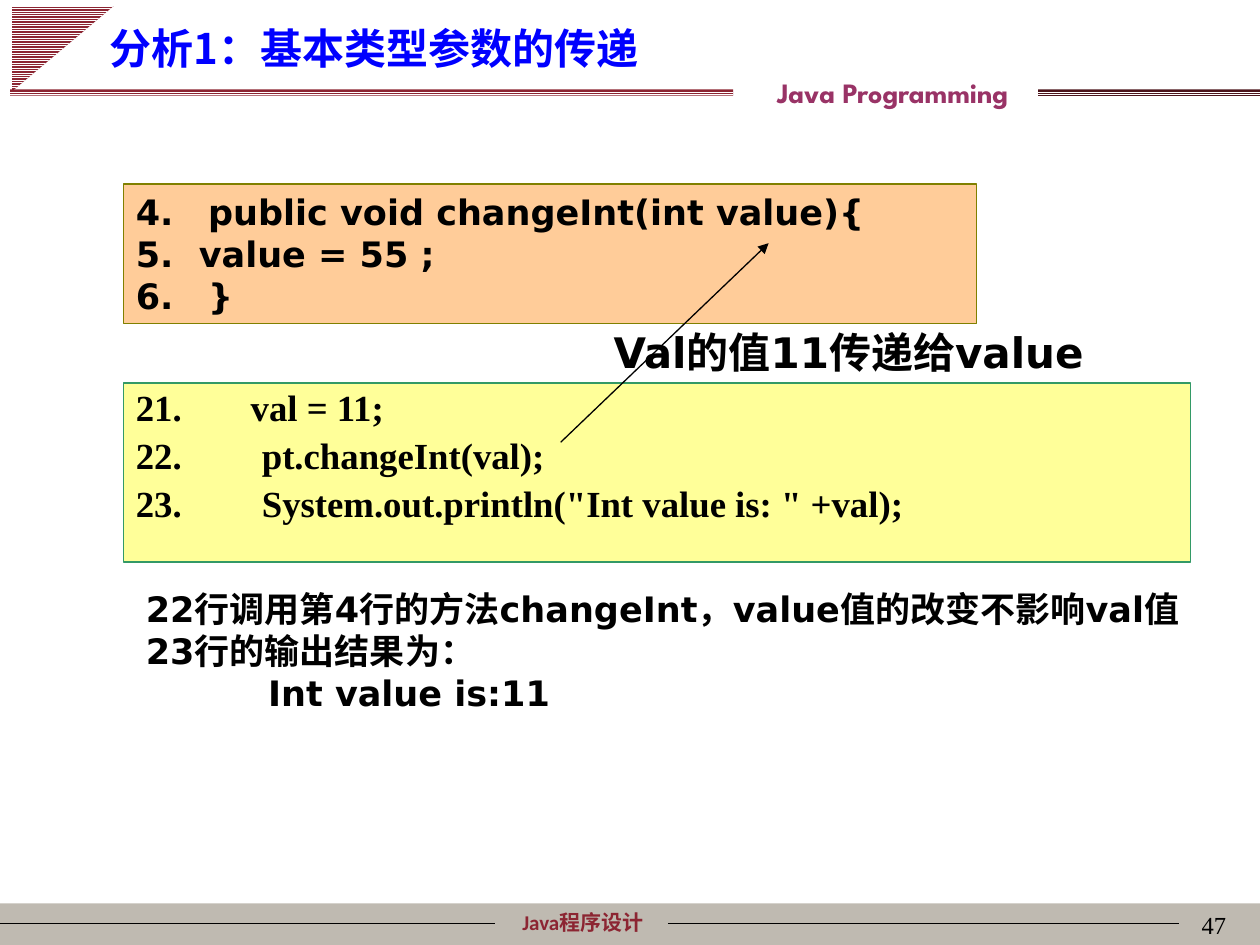
from dataclasses import dataclass, field
from typing import Any

from lxml import etree
from pptx import Presentation
from pptx import util as u
from pptx.dml import color
from pptx.enum import dml, shapes, text
from pptx.oxml import ns

CJK_FONT = "Noto Sans CJK SC"
SANS = "DejaVu Sans"
SERIF = "Times New Roman"
Box = tuple[float, float, float, float]


@dataclass
class Style:
    size: float
    font: str
    color: str = "000000"
    bold: bool = True
    align: Any = text.PP_ALIGN.LEFT
    anchor: Any = text.MSO_ANCHOR.TOP
    wrap: bool = True
    paragraph: dict[str, Any] = field(default_factory=dict)
    space_before: float = 0
    hanging: float = 0
    start: int = 0


@dataclass
class TextBlock:
    box: Box
    lines: list[str]
    style: Style
    fill: str = ""
    line: str = ""


@dataclass
class Stripe:
    preset: Any
    box: Box
    color: str
    rotation: float = 0


@dataclass
class Line:
    begin: tuple[float, float]
    end: tuple[float, float]
    arrow: bool = False


CENTER = text.PP_ALIGN.CENTER
MIDDLE = text.MSO_ANCHOR.MIDDLE
RECTANGLE = shapes.MSO_SHAPE.RECTANGLE

FOOTER_BAND: Box = (0, 7.17, 10, 0.33)
STRIPES = [
    Stripe(shapes.MSO_SHAPE.RIGHT_TRIANGLE, (0.16, -0.02, 0.68, 0.81), "8C2532", 90),
    Stripe(RECTANGLE, (8.24, 0.71, 1.76, 0.06), "4C141B"),
    Stripe(RECTANGLE, (0.08, 0.71, 5.74, 0.05), "8C2532"),
]
FOOTER_LINES = [Line((0, 7.33), (3.93, 7.33)), Line((5.3, 7.33), (9.36, 7.33))]
VALUE_ARROW = Line((4.45, 3.51), (6.1, 1.93), arrow=True)

TITLE = TextBlock(
    (0.77, 0.13, 8.5, 0.5),
    ["分析1：基本类型参数的传递"],
    Style(24, CJK_FONT, "0000FF", anchor=text.MSO_ANCHOR.BOTTOM),
)
MASTER_TEXTS = [
    TextBlock((3.62, 7.17, 2.01, 0.3), ["Java程序设计"],
              Style(12, "Calibri", "8C2532", align=CENTER)),
    TextBlock((5.08, 0.55, 4.01, 0.37), ["Java Programming"],
              Style(16, "League Spartan", "993366", align=CENTER)),
    TextBlock((7.75, 7.17, 2.08, 0.33), ["47"],
              Style(14, SERIF, bold=False, align=text.PP_ALIGN.RIGHT)),
]
CODE_BLOCKS = [
    TextBlock(
        (0.98, 3.04, 8.47, 1.42),
        ["    val = 11;", "\tpt.changeInt(val);",
         '\tSystem.out.println("Int value is: " +val);'],
        Style(21, SERIF, paragraph={"line_spacing": 0.9}, space_before=5,
              hanging=0.62, start=21),
        "FFFF99", "339966",
    ),
    TextBlock(
        (0.98, 1.46, 6.77, 1.11),
        ["  public void changeInt(int value){", "\tvalue = 55 ;", "  }"],
        Style(20, SANS, hanging=0.38, start=4),
        "FFCC99", "808000",
    ),
]
NOTES = [
    TextBlock((5.24, 2.56, 2.99, 0.47), ["Val的值11传递给value"],
              Style(24, SANS, align=CENTER, anchor=MIDDLE, wrap=False)),
    TextBlock((1.06, 4.61, 8.03, 1.1),
              ["22行调用第4行的方法changeInt，value值的改变不影响val值",
               "23行的输出结果为：", "Int value is:11"],
              Style(20, SANS, anchor=MIDDLE, wrap=False)),
]
RESULT_INDENT = 0.97


def rgb(value: str) -> color.RGBColor:
    return color.RGBColor.from_string(value)


def apply(target: Any, values: dict[str, Any]) -> None:
    for name, value in values.items():
        setattr(target, name, value)


def inches(values: tuple[float, ...]) -> list[u.Length]:
    return [u.Inches(value) for value in values]


def indent(paragraph: Any, left: float, first: float = 0) -> Any:
    properties = paragraph._p.get_or_add_pPr()
    properties.set("marL", str(u.Inches(left)))
    properties.set("indent", str(u.Inches(first)))
    return properties


def write_text(shape: Any, lines: list[str], style: Style) -> None:
    frame = shape.text_frame
    apply(frame, {"word_wrap": style.wrap, "vertical_anchor": style.anchor,
                  "auto_size": text.MSO_AUTO_SIZE.NONE})
    for index, content in enumerate(lines):
        paragraph = frame.add_paragraph() if index else frame.paragraphs[0]
        spacing = u.Pt(style.space_before if index else 0)
        apply(paragraph, {"alignment": style.align, "space_before": spacing,
                          **style.paragraph})
        if style.start:
            properties = indent(paragraph, style.hanging, -style.hanging)
            etree.SubElement(properties, ns.qn("a:buFont"), typeface=style.font)
            etree.SubElement(properties, ns.qn("a:buAutoNum"),
                             type="arabicPeriod", startAt=str(style.start))
        run = paragraph.add_run()
        run.text = content
        apply(run.font, {"size": u.Pt(style.size), "name": style.font,
                         "bold": style.bold})
        run.font.color.rgb = rgb(style.color)
        etree.SubElement(run._r.get_or_add_rPr(), ns.qn("a:ea"), typeface=CJK_FONT)


def add_panel(slide: Any, box: Box, fill: str, line: str = "") -> Any:
    shape = slide.shapes.add_shape(RECTANGLE, *inches(box))
    shape.shadow.inherit = False
    shape.fill.solid()
    shape.fill.fore_color.rgb = rgb(fill)
    if line:
        shape.line.color.rgb = rgb(line)
        shape.line.width = u.Pt(0.75)
    else:
        shape.line.fill.background()
    return shape


def add_text_block(slide: Any, block: TextBlock) -> Any:
    if block.fill:
        shape = add_panel(slide, block.box, block.fill, block.line)
    else:
        shape = slide.shapes.add_textbox(*inches(block.box))
    write_text(shape, block.lines, block.style)
    return shape


def add_stripe(slide: Any, stripe: Stripe) -> None:
    shape = slide.shapes.add_shape(stripe.preset, *inches(stripe.box))
    shape.shadow.inherit = False
    shape.rotation = stripe.rotation
    shape.line.fill.background()
    shape.fill.patterned()
    shape.fill.pattern = dml.MSO_PATTERN.LIGHT_HORIZONTAL
    shape.fill.fore_color.rgb = rgb("FFFFFF")
    shape.fill.back_color.rgb = rgb(stripe.color)


def add_line(slide: Any, line: Line) -> None:
    connector = slide.shapes.add_connector(
        shapes.MSO_CONNECTOR.STRAIGHT, *inches(line.begin + line.end))
    connector.line.color.rgb = rgb("000000")
    connector.line.width = u.Pt(0.75)
    if line.arrow:
        etree.SubElement(connector.line._get_or_add_ln(), ns.qn("a:tailEnd"),
                         type="triangle")
    etree.SubElement(connector._element.spPr, ns.qn("a:effectLst"))


def main() -> None:
    presentation = Presentation()
    apply(presentation, {"slide_width": u.Inches(10), "slide_height": u.Inches(7.5)})
    slide = presentation.slides.add_slide(presentation.slide_layouts[5])
    add_panel(slide, FOOTER_BAND, "BFBAB1")
    for line in FOOTER_LINES:
        add_line(slide, line)
    for stripe in STRIPES:
        add_stripe(slide, stripe)
    title = slide.shapes.title
    apply(title, dict(zip(("left", "top", "width", "height"), inches(TITLE.box))))
    write_text(title, TITLE.lines, TITLE.style)
    for block in MASTER_TEXTS + CODE_BLOCKS:
        add_text_block(slide, block)
    add_line(slide, VALUE_ARROW)
    _, explanation = [add_text_block(slide, block) for block in NOTES]
    indent(explanation.text_frame.paragraphs[-1], RESULT_INDENT)
    presentation.save("out.pptx")


if __name__ == "__main__":
    main()
